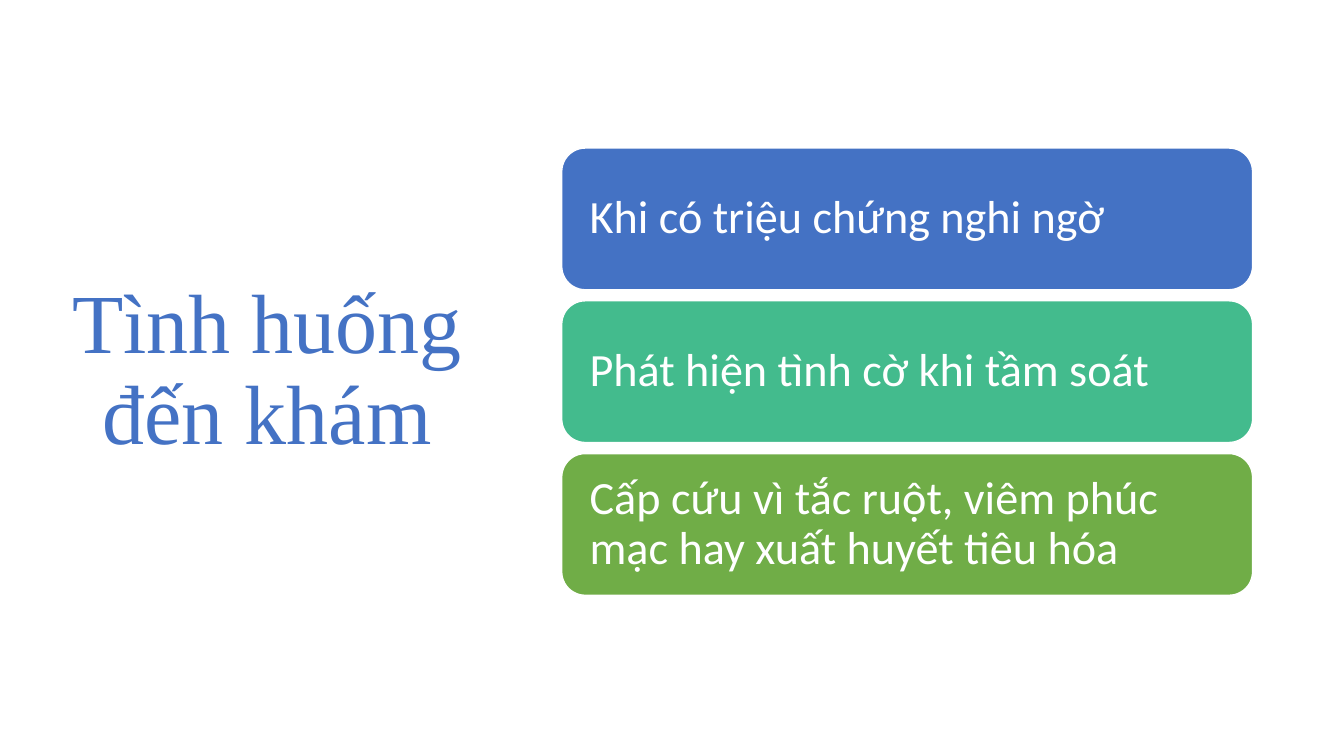
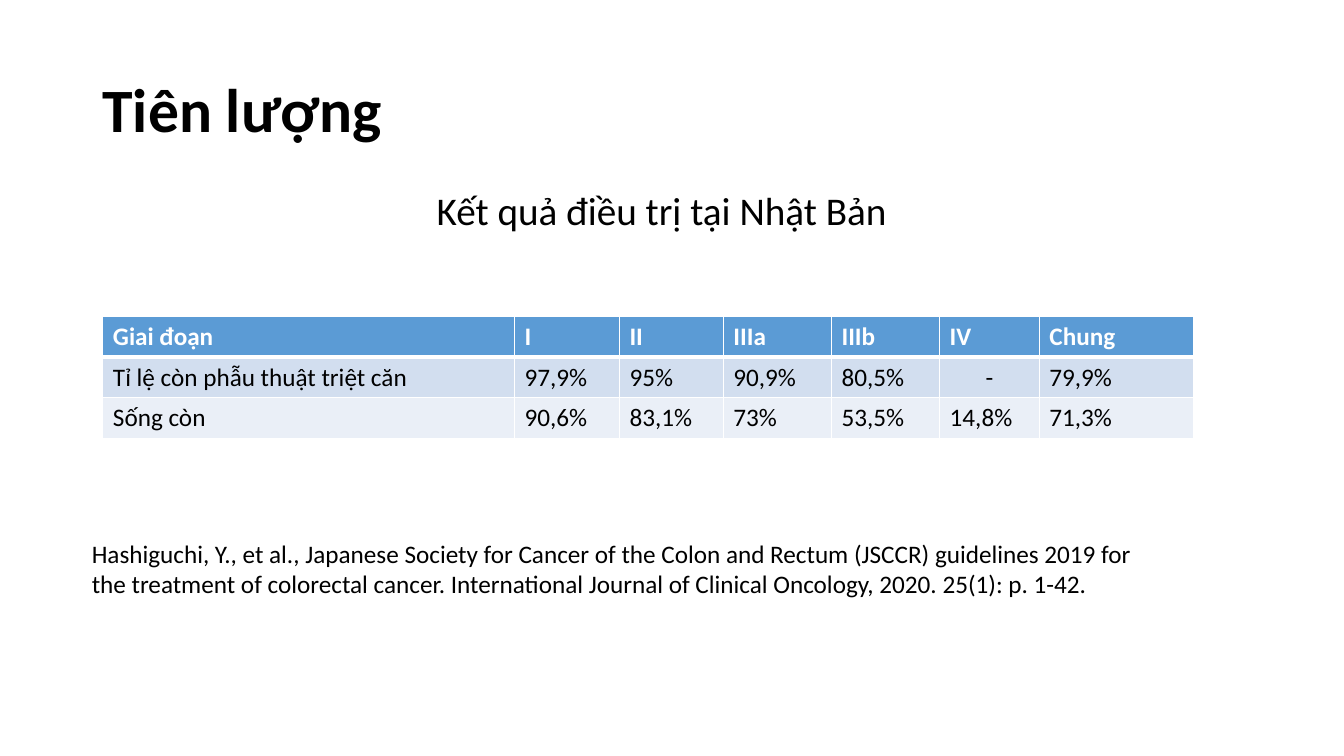
from lxml.etree import SubElement
from pptx import Presentation
from pptx.dml.color import RGBColor as RGB
from pptx.enum.shapes import MSO_SHAPE as Shape
from pptx.enum.text import MSO_ANCHOR as Anchor, MSO_AUTO_SIZE as Fit, PP_ALIGN as Align
from pptx.oxml.ns import qn
from pptx.util import Pt

PX = 9525
WIDE, HIGH = 1280, 720

WHITE = RGB(0xFF, 0xFF, 0xFF)
BLACK = RGB(0x00, 0x00, 0x00)
BLUE = RGB(0x44, 0x72, 0xC4)
TEAL = RGB(0x43, 0xBB, 0x8D)
GREEN = RGB(0x70, 0xAD, 0x47)
HEAD = RGB(0x5B, 0x9B, 0xD5)
BANDS = [RGB(0xD2, 0xDE, 0xEF), RGB(0xEA, 0xEF, 0xF7)]

SANS, SERIF = "Calibri", "Times New Roman"

CARDS = [
    ("Khi có triệu chứng nghi ngờ", BLUE),
    ("Phát hiện tình cờ khi tầm soát", TEAL),
    ("Cấp cứu vì tắc ruột, viêm phúc mạc hay xuất huyết tiêu hóa", GREEN),
]
COLS = [392, 100, 99, 103, 103, 95, 147]
ROWS = [
    ["Giai đoạn", "I", "II", "IIIa", "IIIb", "IV", "Chung"],
    ["Tỉ lệ còn phẫu thuật triệt căn", "97,9%", "95%", "90,9%", "80,5%", "-", "79,9%"],
    ["Sống còn", "90,6%", "83,1%", "73%", "53,5%", "14,8%", "71,3%"],
]
SOURCE = (
    "Hashiguchi, Y., et al., Japanese Society for Cancer of the Colon and Rectum (JSCCR) "
    "guidelines 2019 for the treatment of colorectal cancer. "
    "International Journal of Clinical Oncology, 2020. 25(1): p. 1-42."
)


def emu(*vals):
    return [round(val * PX) for val in vals]


def write(frame, text, size=18, color=BLACK, font=SANS, bold=False,
          align=Align.LEFT, lead=1.0):
    frame.word_wrap = True
    par = frame.paragraphs[0]
    par.alignment = align
    par.line_spacing = lead
    run = par.add_run()
    run.text = text
    run.font.size = Pt(size)
    run.font.name = font
    run.font.bold = bold
    run.font.color.rgb = color


def add_title(slide, box, text, **form):
    title = slide.shapes.title
    title.left, title.top, title.width, title.height = emu(*box)
    frame = title.text_frame
    frame.auto_size = Fit.NONE
    frame.vertical_anchor = Anchor.MIDDLE
    write(frame, text, lead=0.9, **form)


def add_text(slide, box, text, **form):
    write(slide.shapes.add_textbox(*emu(*box)).text_frame, text, **form)


def add_cards(slide, box, cards, high=135):
    """Stack the cards with equal gaps so that they fill the box."""
    left, top, width, height = box
    step = (height - high) / (len(cards) - 1)
    for i, (text, color) in enumerate(cards):
        card = slide.shapes.add_shape(
            Shape.ROUNDED_RECTANGLE, *emu(left, top + i * step, width, high))
        card.shadow.inherit = False
        card.fill.solid()
        card.fill.fore_color.rgb = color
        card.line.color.rgb = WHITE
        card.line.width = Pt(1)
        frame = card.text_frame
        frame.vertical_anchor = Anchor.MIDDLE
        frame.margin_left = frame.margin_right = 20 * PX
        write(frame, text, size=33, color=WHITE, lead=0.9)


def add_edge(cell, side, width):
    props = cell._tc.get_or_add_tcPr()
    line = SubElement(props, qn(f"a:ln{side}"), w=str(Pt(width)))
    fill = SubElement(line, qn("a:solidFill"))
    SubElement(fill, qn("a:srgbClr"), val=str(WHITE))


def add_grid(slide, box, cols, rows):
    table = slide.shapes.add_table(len(rows), len(cols), *emu(*box)).table
    for col, width in zip(table.columns, cols):
        col.width = width * PX
    for r, row in enumerate(rows):
        table.rows[r].height = round(box[3] / len(rows) * PX)
        top = r == 0
        for c, text in enumerate(row):
            cell = table.cell(r, c)
            for side in "LRTB":
                thick = (side, r) in (("B", 0), ("T", 1))
                add_edge(cell, side, 3 if thick else 1)
            cell.fill.solid()
            cell.fill.fore_color.rgb = HEAD if top else BANDS[(r - 1) % 2]
            write(cell.text_frame, text, color=WHITE if top else BLACK, bold=top,
                  align=Align.CENTER if text == "-" else Align.LEFT)


def add_cases(slide):
    add_title(slide, (55, 65, 399, 578), "Tình huống đến khám",
              size=60, color=BLUE, font=SERIF, align=Align.CENTER)
    add_cards(slide, (535, 141, 658, 426), CARDS)


def add_outlook(slide):
    add_title(slide, (88, 38, 1104, 139), "Tiên lượng", size=44, bold=True)
    add_text(slide, (78, 178, 1104, 60), "Kết quả điều trị tại Nhật Bản",
             size=28, align=Align.CENTER, lead=0.9)
    add_grid(slide, (98, 301, sum(COLS), 117), COLS, ROWS)
    add_text(slide, (78, 508, 1039, 68), SOURCE)


def main():
    deck = Presentation()
    deck.slide_width, deck.slide_height = emu(WIDE, HIGH)
    for build in (add_cases, add_outlook):
        build(deck.slides.add_slide(deck.slide_layouts[5]))
    deck.save("out.pptx")


if __name__ == "__main__":
    main()
